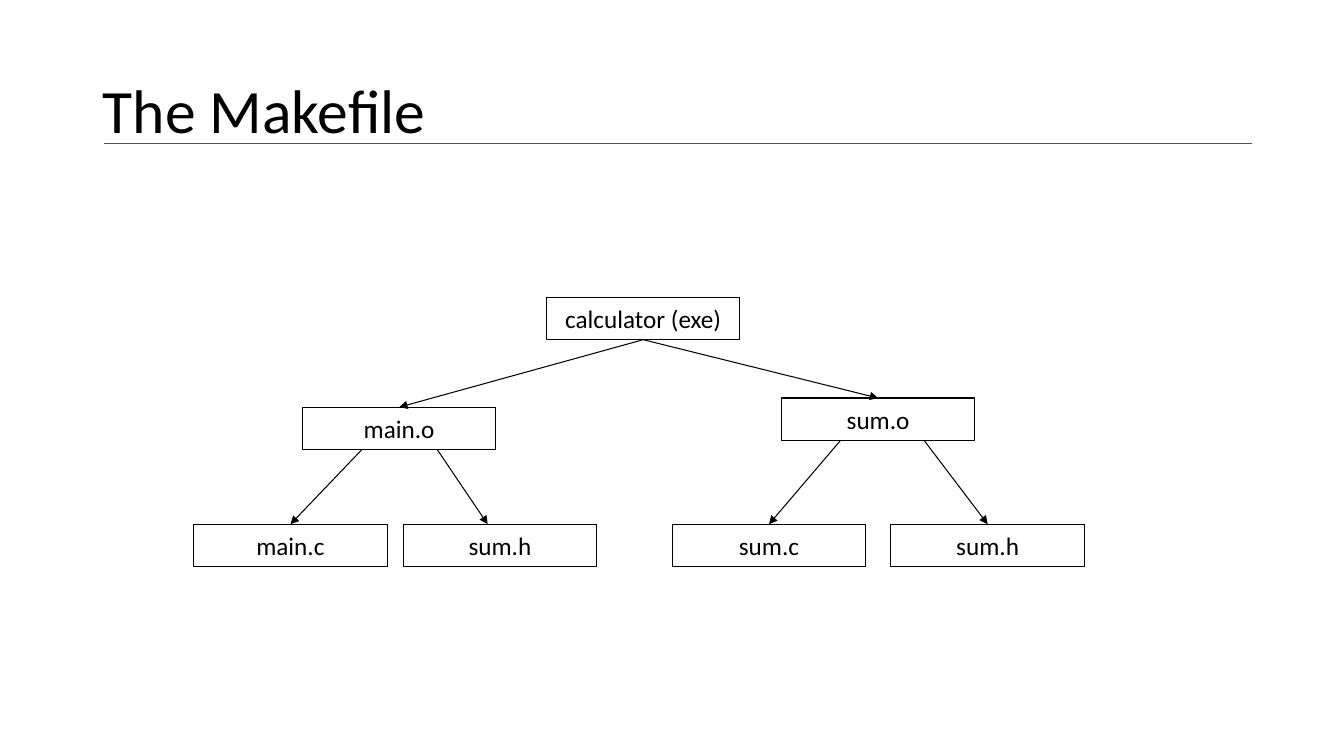
from lxml.etree import SubElement
from pptx import Presentation
from pptx.dml.color import RGBColor
from pptx.enum.shapes import MSO_CONNECTOR, MSO_SHAPE
from pptx.enum.text import MSO_ANCHOR, PP_ALIGN
from pptx.oxml.ns import qn
from pptx.util import Cm, Pt

BLACK = RGBColor(0x00, 0x00, 0x00)
WHITE = RGBColor(0xFF, 0xFF, 0xFF)
BLUE = RGBColor(0x2F, 0x55, 0x97)
TOP, BOTTOM = 0, 2


class DiagramPage:
    font_name = "Calibri"
    box_width = Cm(4.88)
    box_height = Cm(1.07)

    def __init__(self, deck):
        self.page = deck.slides.add_slide(deck.slide_layouts[5])

    def label(self, shape, text, size, alignment):
        frame = shape.text_frame
        frame.text = text
        frame.vertical_anchor = MSO_ANCHOR.MIDDLE
        para = frame.paragraphs[0]
        para.alignment = alignment
        for span in para.runs:
            span.font.name = self.font_name
            span.font.size = Pt(size)
            span.font.color.rgb = BLACK
        return para

    def title(self, text):
        shape = self.page.shapes.title
        shape.left, shape.top = Cm(2.34), Cm(1.02)
        shape.width, shape.height = Cm(29.21), Cm(3.68)
        para = self.label(shape, text, 44, PP_ALIGN.LEFT)
        para.line_spacing = 0.9

    def box(self, text, left, top):
        shape = self.page.shapes.add_shape(
            MSO_SHAPE.RECTANGLE, Cm(left), Cm(top), self.box_width, self.box_height
        )
        shape.shadow.inherit = False
        shape.fill.solid()
        shape.fill.fore_color.rgb = WHITE
        shape.line.color.rgb = BLACK
        shape.line.width = Pt(0.75)
        self.label(shape, text, 18, PP_ALIGN.CENTER)
        shape.text_frame.word_wrap = False
        return shape

    def line(self, start, end, color=BLACK, width=0.75):
        connector = self.page.shapes.add_connector(
            MSO_CONNECTOR.STRAIGHT, *start, *end
        )
        connector.line.color.rgb = color
        connector.line.width = Pt(width)
        SubElement(connector._element.spPr, qn("a:effectLst"))
        return connector

    def arrow(self, parent, child, start_x=None, end_x=None):
        start = (Cm(start_x or 0), parent.top + parent.height)
        end = (Cm(end_x or 0), child.top)
        connector = self.line(start, end)
        if start_x is None:
            connector.begin_connect(parent, BOTTOM)
        if end_x is None:
            connector.end_connect(child, TOP)
        outline = connector._element.spPr.find(qn("a:ln"))
        SubElement(outline, qn("a:tailEnd"), type="triangle")


def main():
    deck = Presentation()
    deck.slide_width, deck.slide_height = Cm(33.87), Cm(19.05)
    diagram = DiagramPage(deck)

    diagram.title("The Makefile")
    diagram.line((Cm(2.62), Cm(3.61)), (Cm(31.55), Cm(3.61)), BLUE, 0.5)

    calculator = diagram.box("calculator (exe)", 13.77, 7.49)
    sum_object = diagram.box("sum.o", 19.69, 10.03)
    main_object = diagram.box("main.o", 7.62, 10.26)
    source_files = [("main.c", 4.88), ("sum.h", 10.16), ("sum.c", 16.94), ("sum.h", 22.45)]
    main_source, main_header, sum_source, sum_header = [
        diagram.box(text, left, 13.21) for text, left in source_files
    ]

    diagram.arrow(calculator, main_object)
    diagram.arrow(calculator, sum_object)
    diagram.arrow(main_object, main_source, start_x=9.12)
    diagram.arrow(main_object, main_header, start_x=11.02, end_x=12.29)
    diagram.arrow(sum_object, sum_source, start_x=21.18)
    diagram.arrow(sum_object, sum_header, start_x=23.29)

    deck.save("out.pptx")


if __name__ == "__main__":
    main()
